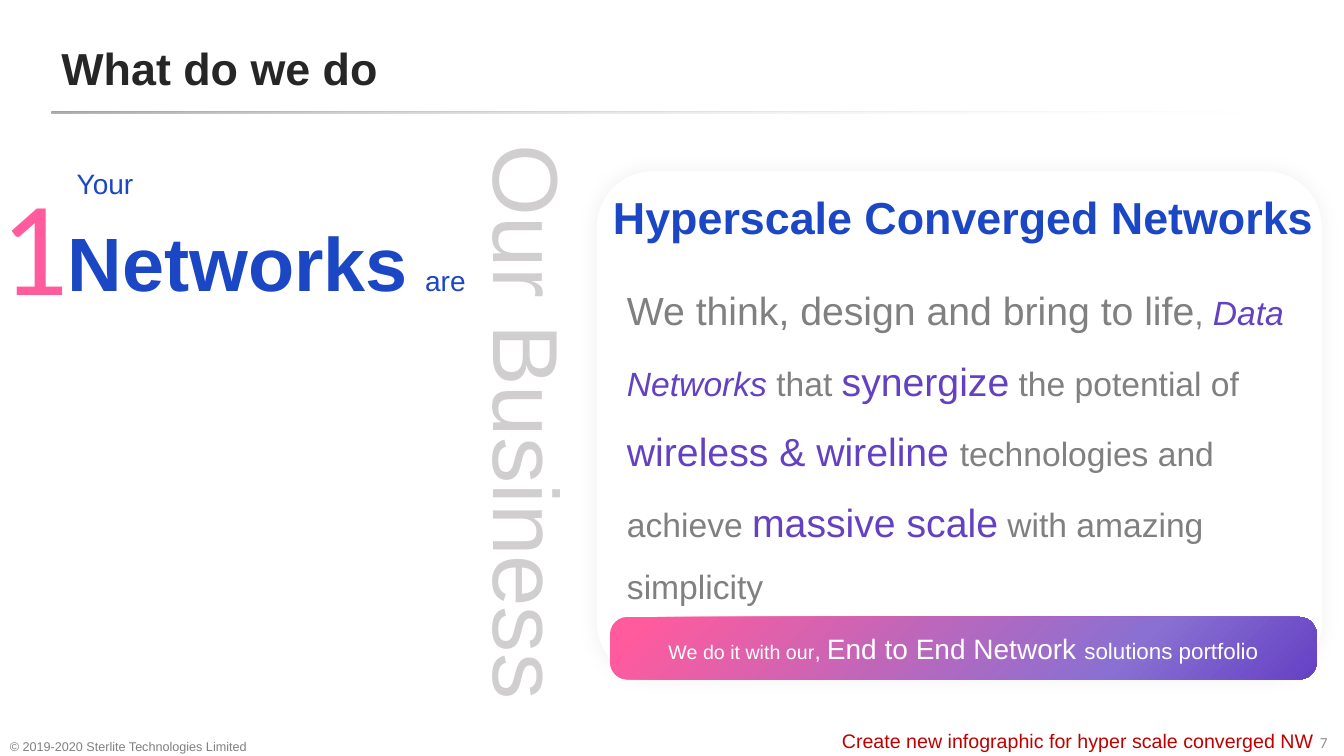
"""Build the slide that introduces hyperscale converged networks."""
from dataclasses import dataclass, field
from typing import Any

from lxml.etree import SubElement
from pptx import Presentation
from pptx.dml.color import RGBColor
from pptx.enum.shapes import MSO_SHAPE as Preset
from pptx.enum.text import MSO_ANCHOR as Anchor, PP_ALIGN as Align
from pptx.oxml.ns import qn
from pptx.util import Inches, Pt

Stop = tuple[int, str, int]
Box = tuple[float, float, float, float]


@dataclass(frozen=True)
class Theme:
    blue: str = "1B47C5"
    violet: str = "6441C3"
    pink: str = "FF5B9D"
    lilac: str = "8A70D2"
    gray: str = "808080"
    silver: str = "D0CECE"
    rule: str = "AFABAB"
    number: str = "929292"
    ink: str = "262626"
    red: str = "C00000"
    white: str = "FFFFFF"
    black: str = "000000"
    copyright_size: int = 9
    number_size: int = 11
    note_size: int = 14
    small_size: int = 16
    label_size: int = 20
    text_size: int = 24
    strong_size: int = 28
    title_size: int = 32
    gap_size: int = 44
    word_size: int = 54
    side_size: int = 66
    digit_size: int = 96
    sans: str = "Arial"
    humanist: str = "Calibri"


THEME = Theme()


@dataclass(frozen=True)
class Run:
    text: str
    size: int
    color: str
    style: dict[str, Any] = field(default_factory=dict)
    stops: tuple[Stop, ...] = ()


@dataclass(frozen=True)
class Label:
    box: Box
    paragraphs: list[list[Run]]
    inset: float = 0.05
    anchor: Anchor = Anchor.TOP
    wrap: bool = True
    rotation: int = 0
    formats: tuple[dict[str, Any], ...] = ()
    indent: float = 0


@dataclass(frozen=True)
class Panel:
    box: Box
    corner: float
    stops: tuple[Stop, ...]
    angle: int = 0


def set_attributes(target: Any, values: dict[str, Any]) -> None:
    for name, value in values.items():
        setattr(target, name, value)


def set_gradient(fill: Any, properties: Any, stops: tuple[Stop, ...], angle: int) -> None:
    fill.gradient()
    gradient = properties.find(qn("a:gradFill"))
    for child in list(gradient):
        gradient.remove(child)
    stop_list = SubElement(gradient, qn("a:gsLst"))
    for position, color, opacity in stops:
        stop = SubElement(stop_list, qn("a:gs"), pos=str(position * 1000))
        shade = SubElement(stop, qn("a:srgbClr"), val=color)
        if opacity < 100:
            SubElement(shade, qn("a:alpha"), val=str(opacity * 1000))
    SubElement(gradient, qn("a:lin"), ang=str(angle * 60000), scaled="0")


def write_runs(paragraph: Any, runs: list[Run]) -> None:
    for item in runs:
        run = paragraph.add_run()
        run.text = item.text
        values = {"name": THEME.sans, "size": Pt(item.size), "bold": False, "italic": False}
        set_attributes(run.font, values | item.style)
        if item.stops:
            set_gradient(run.font.fill, run.font._element, item.stops, 45)
        else:
            run.font.color.rgb = RGBColor.from_string(item.color)


def place(shape: Any, box: Box) -> None:
    set_attributes(shape, dict(zip(("left", "top", "width", "height"), map(Inches, box))))


def add_label(slide: Any, label: Label) -> None:
    shape = slide.shapes.add_textbox(*map(Inches, label.box))
    shape.rotation = label.rotation
    frame = shape.text_frame
    side, edge = Inches(label.inset), Inches(0.05)
    set_attributes(frame, {
        "margin_left": side, "margin_right": side, "margin_top": edge, "margin_bottom": edge,
        "word_wrap": label.wrap, "vertical_anchor": label.anchor,
    })
    for index, runs in enumerate(label.paragraphs):
        paragraph = frame.add_paragraph() if index else frame.paragraphs[0]
        if label.formats:
            set_attributes(paragraph, label.formats[index])
        if label.indent and not index:
            paragraph._p.get_or_add_pPr().set("marL", str(Inches(label.indent)))
        write_runs(paragraph, runs)


def add_panel(slide: Any, panel: Panel) -> Any:
    shape = slide.shapes.add_shape(Preset.ROUNDED_RECTANGLE, *map(Inches, panel.box))
    shape.shadow.inherit = False
    shape.adjustments[0] = panel.corner
    shape.line.fill.background()
    if len(panel.stops) > 1:
        set_gradient(shape.fill, shape._element.spPr, panel.stops, panel.angle)
    else:
        shape.fill.solid()
        shape.fill.fore_color.rgb = RGBColor.from_string(panel.stops[0][1])
    return shape


def add_glow(shape: Any, blur: int, opacity: int) -> None:
    effects = shape._element.spPr.find(qn("a:effectLst"))
    shadow = SubElement(effects, qn("a:outerShdw"), blurRad=str(Pt(blur)), dist="0", dir="0",
                        algn="ctr", rotWithShape="0")
    color = SubElement(shadow, qn("a:srgbClr"), val=THEME.black)
    SubElement(color, qn("a:alpha"), val=str(opacity * 1000))


def add_title(slide: Any, text: str) -> None:
    title = slide.shapes.title
    place(title, (0.51, 0.23, 9.97, 0.88))
    title.text_frame.vertical_anchor = Anchor.MIDDLE
    paragraph = title.text_frame.paragraphs[0]
    paragraph.alignment = Align.LEFT
    write_runs(paragraph, [Run(text, THEME.title_size, THEME.ink, {"bold": True})])


def main() -> None:
    theme = THEME
    bold, italic, humanist = {"bold": True}, {"italic": True}, {"name": theme.humanist}
    presentation = Presentation()
    presentation.slide_width, presentation.slide_height = Inches(13.33), Inches(7.5)
    slide = presentation.slides.add_slide(presentation.slide_layouts[5])

    add_panel(slide, Panel((0.51, 1.11, 12.31, 0.02), 0.5,
                           ((0, theme.rule, 100), (96, theme.white, 0))))
    add_title(slide, "What do we do")
    card = add_panel(slide, Panel((5.92, 1.7, 7.19, 5.03), 0.11, ((0, theme.white, 100),)))
    add_glow(card, blur=15, opacity=5)

    def plain(text: str) -> Run:
        return Run(text, theme.text_size, theme.gray)

    def strong(text: str) -> Run:
        return Run(text, theme.strong_size, theme.violet)

    pitch = [
        Run("We think, design and bring to life", theme.strong_size, theme.gray), plain(", "),
        Run("Data Networks ", theme.text_size, theme.violet, italic), plain("that "),
        strong("synergize"), plain(" the potential of "), strong("wireless & wireline "),
        plain("technologies and achieve "), strong("massive scale"),
        plain(" with amazing simplicity"),
    ]
    headline = [
        [Run("Your", theme.label_size, theme.blue)],
        [Run("Networks", theme.word_size, theme.blue, bold),
         Run(" ", theme.gap_size, theme.blue, bold), Run("are", theme.label_size, theme.blue)],
    ]
    digit = Run("1", theme.digit_size, theme.pink, humanist,
                ((35, theme.pink, 100), (78, theme.violet, 100)))
    labels = [
        Label((13.04, 7.22, 0.27, 0.25),
              [[Run("7", theme.number_size, theme.number, humanist)]], wrap=False),
        Label((0, 7.22, 3.03, 0.31),
              [[Run("© 2019-2020 Sterlite Technologies Limited", theme.copyright_size,
                    theme.gray)]], inset=0.1, anchor=Anchor.BOTTOM),
        Label((2.42, 3.61, 5.66, 1.21), [[Run("Our Business", theme.side_size, theme.silver)]],
              wrap=False, rotation=90),
        Label((0.62, 1.34, 4.18, 1.75), headline, anchor=Anchor.BOTTOM,
              formats=({}, {"space_before": Pt(11)}), indent=0.09),
        Label((6.12, 2.56, 6.84, 3.46), [pitch], inset=0.1, formats=({"line_spacing": 1.5},)),
        Label((6.03, 1.84, 7.3, 0.62),
              [[Run("Hyperscale Converged Networks", theme.title_size, theme.blue, bold)]],
              anchor=Anchor.MIDDLE),
        Label((8.3, 7.18, 4.87, 0.35),
              [[Run("Create new infographic for hyper scale converged NW", theme.note_size,
                    theme.red)]]),
        Label((-0.05, 1.55, 0.68, 1.72), [[digit]]),
    ]
    for label in labels:
        add_label(slide, label)

    banner = add_panel(slide, Panel((6.05, 6.12, 7.01, 0.62), 0.28, (
        (5, theme.pink, 100), (72, theme.lilac, 100), (100, theme.violet, 100)), 45))
    banner.text_frame.vertical_anchor = Anchor.MIDDLE
    paragraph = banner.text_frame.paragraphs[0]
    paragraph.alignment = Align.CENTER
    write_runs(paragraph, [
        Run("We do it with our", theme.note_size, theme.white),
        Run(", ", theme.small_size, theme.white),
        Run("End to End Network ", theme.label_size, theme.white),
        Run("solutions portfolio", theme.small_size, theme.white),
    ])
    presentation.save("out.pptx")


if __name__ == "__main__":
    main()
